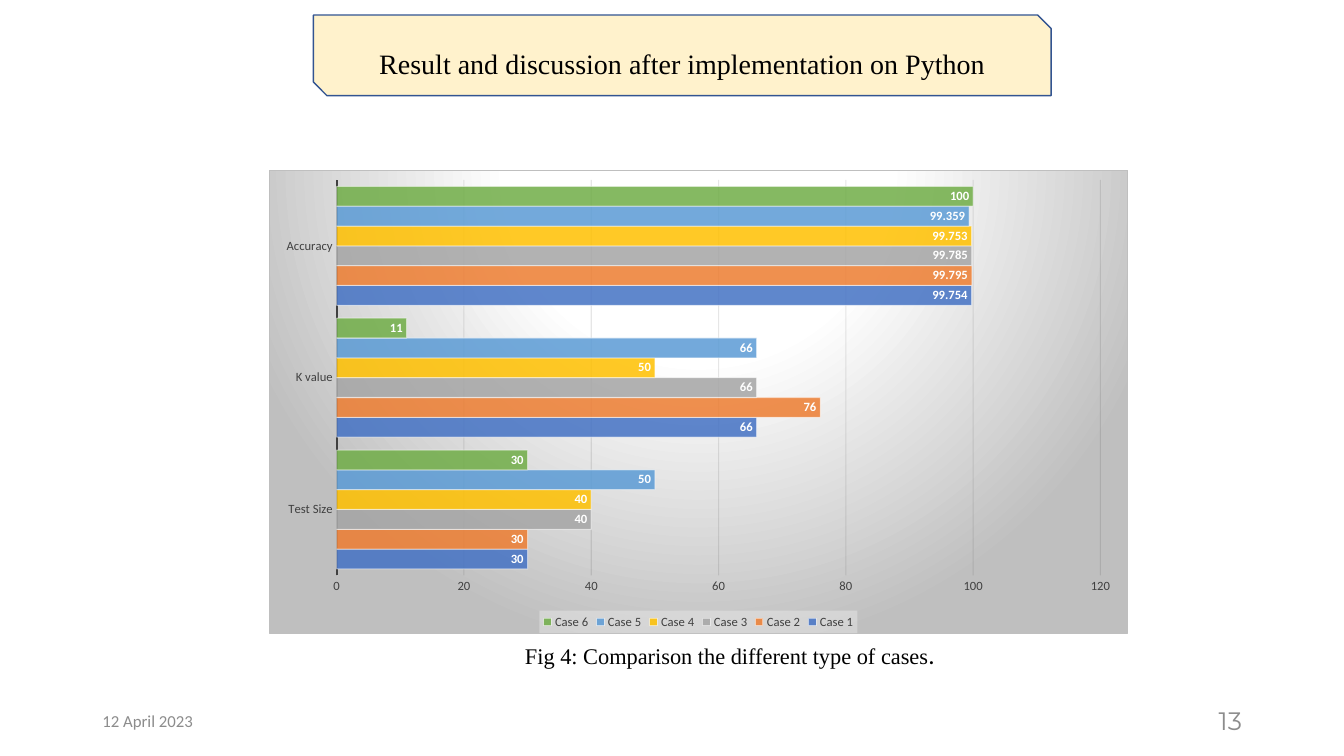
"""Build the results slide: a title banner, a bar chart of six cases, a caption and a footer."""
from lxml import etree
from pptx import Presentation
from pptx.chart.data import CategoryChartData
from pptx.dml.color import RGBColor
from pptx.enum.chart import XL_CHART_TYPE, XL_LABEL_POSITION, XL_LEGEND_POSITION, XL_TICK_MARK
from pptx.enum.shapes import MSO_SHAPE
from pptx.enum.text import MSO_ANCHOR, PP_ALIGN
from pptx.oxml import parse_xml
from pptx.util import Cm, Pt

BARS = XL_CHART_TYPE.BAR_CLUSTERED
INSIDE = XL_LABEL_POSITION.INSIDE_END
BOTTOM = XL_LEGEND_POSITION.BOTTOM
NO_TICK = XL_TICK_MARK.NONE
SNIP = MSO_SHAPE.SNIP_2_DIAG_RECTANGLE
TOP, MIDDLE = MSO_ANCHOR.TOP, MSO_ANCHOR.MIDDLE
LEFT, CENTER, RIGHT = PP_ALIGN.LEFT, PP_ALIGN.CENTER, PP_ALIGN.RIGHT

COLORS = {
    "black": "000000", "white": "FFFFFF", "muted": "8C8C8C", "label": "404040",
    "cream": "FFF2CC", "navy": "325491", "grid": "0D0D0D", "edge": "BFBFBF", "key": "F2F2F2",
}
CASES = {
    "Case 1": ("4472C4", (30, 66, 99.754)),
    "Case 2": ("ED7D31", (30, 76, 99.795)),
    "Case 3": ("A5A5A5", (40, 66, 99.785)),
    "Case 4": ("FFC000", (40, 50, 99.753)),
    "Case 5": ("5B9BD5", (50, 66, 99.359)),
    "Case 6": ("70AD47", (30, 11, 100)),
}
DRAW = "http://schemas.openxmlformats.org/drawingml/2006/main"
SPACES = f'xmlns:c="http://schemas.openxmlformats.org/drawingml/2006/chart" xmlns:a="{DRAW}"'


def style(font, face, size, color):
    font.name, font.size = face, Pt(size)
    font.color.rgb = RGBColor.from_string(COLORS[color])


def fade(node, *alphas):
    for tint, alpha in zip(node.iter(f"{{{DRAW}}}srgbClr"), alphas):
        etree.SubElement(tint, f"{{{DRAW}}}alpha", val=str(alpha * 1000))


deck = Presentation()
deck.slide_width, deck.slide_height = Cm(33.87), Cm(19.05)
slide = deck.slides.add_slide(deck.slide_layouts[6])

banner = slide.shapes.add_shape(SNIP, Cm(7.9), Cm(0.38), Cm(18.59), Cm(2.03))
banner.shadow.inherit = False
banner.fill.solid()
banner.fill.fore_color.rgb = RGBColor.from_string(COLORS["cream"])
banner.line.color.rgb = RGBColor.from_string(COLORS["navy"])
banner.line.width = Pt(1)
banner.text_frame.vertical_anchor = MIDDLE
title = banner.text_frame.paragraphs[0]
title.text = "Result and discussion after implementation on Python"
title.alignment, title.line_spacing = CENTER, 1.5
style(title.font, "Times New Roman", 20, "black")

data = CategoryChartData()
data.categories = ["Test Size", "K value", "Accuracy"]
for name, (tint, values) in CASES.items():
    data.add_series(name, values)
chart = slide.shapes.add_chart(BARS, Cm(6.78), Cm(4.29), Cm(21.64), Cm(11.68), data).chart
style(chart.font, "Calibri", 10, "black")
chart.has_title = False

plot = chart.plots[0]
plot.gap_width, plot.overlap, plot.vary_by_categories = 65, 0, False
for bar, (tint, values) in zip(plot.series, CASES.values()):
    bar.format.fill.solid()
    bar.format.fill.fore_color.rgb = RGBColor.from_string(tint)
    bar.format.line.color.rgb = RGBColor.from_string(COLORS["white"])
    bar.format.line.width = Pt(0.75)
    fade(bar.format.element if hasattr(bar.format, "element") else bar._element, 85, 50)
    labels = bar.data_labels
    labels.show_value, labels.position = True, INSIDE
    style(labels.font, "Calibri", 9, "white")
    labels.font.bold = True

for axis in (chart.category_axis, chart.value_axis):
    axis.major_tick_mark = axis.minor_tick_mark = NO_TICK
    style(axis.tick_labels.font, "Calibri", 9, "label")
names, scale = chart.category_axis, chart.value_axis
names.format.line.color.rgb = RGBColor.from_string(COLORS["label"])
names.format.line.width = Pt(1.5)
scale.minimum_scale, scale.maximum_scale, scale.major_unit = 0, 120, 20
scale.format.line.fill.background()
grid = scale.major_gridlines
grid.format.line.color.rgb = RGBColor.from_string(COLORS["grid"])
grid.format.line.width = Pt(0.75)
fade(scale._element.find("{*}majorGridlines"), 10)

chart.has_legend = True
legend = chart.legend
legend.position, legend.include_in_layout = BOTTOM, False
style(legend.font, "Calibri", 9, "label")
key = parse_xml(
    f'<c:spPr {SPACES}><a:solidFill><a:srgbClr val="{COLORS["key"]}"/></a:solidFill></c:spPr>')
fade(key, 39)
legend._element.find("{*}txPr").addprevious(key)

stops = "".join(
    f'<a:gs pos="{spot * 1000}"><a:srgbClr val="{COLORS[color]}"/></a:gs>'
    for spot, color in ((0, "white"), (39, "white"), (100, "edge")))
chart.element.find("{*}txPr").addprevious(parse_xml(
    f'<c:spPr {SPACES}><a:gradFill><a:gsLst>{stops}</a:gsLst><a:path path="circle">'
    '<a:fillToRect l="50000" t="-80000" r="50000" b="180000"/></a:path></a:gradFill>'
    f'<a:ln w="9525"><a:solidFill><a:srgbClr val="{COLORS["edge"]}"/></a:solidFill></a:ln></c:spPr>'))

NOTES = (
    ("12 April 2023", 2.33, 17.65, 7.62, MIDDLE, LEFT, "Calibri", 12, "muted"),
    ("13", 23.93, 17.65, 7.62, MIDDLE, RIGHT, "Montserrat", 18, "muted"),
    ("Fig 4: Comparison the different type of cases", 12.98, 15.98, 15.67, TOP, LEFT,
     "Times New Roman", 16, "black"),
)
for text, left, top, width, anchor, align, face, size, color in NOTES:
    frame = slide.shapes.add_textbox(Cm(left), Cm(top), Cm(width), Cm(1.02)).text_frame
    frame.word_wrap, frame.vertical_anchor = True, anchor
    line = frame.paragraphs[0]
    line.text, line.alignment = text, align
    style(line.font, face, size, color)
stop = line.add_run()
stop.text = "."
style(stop.font, "Calibri", 18, "black")

deck.save("out.pptx")
